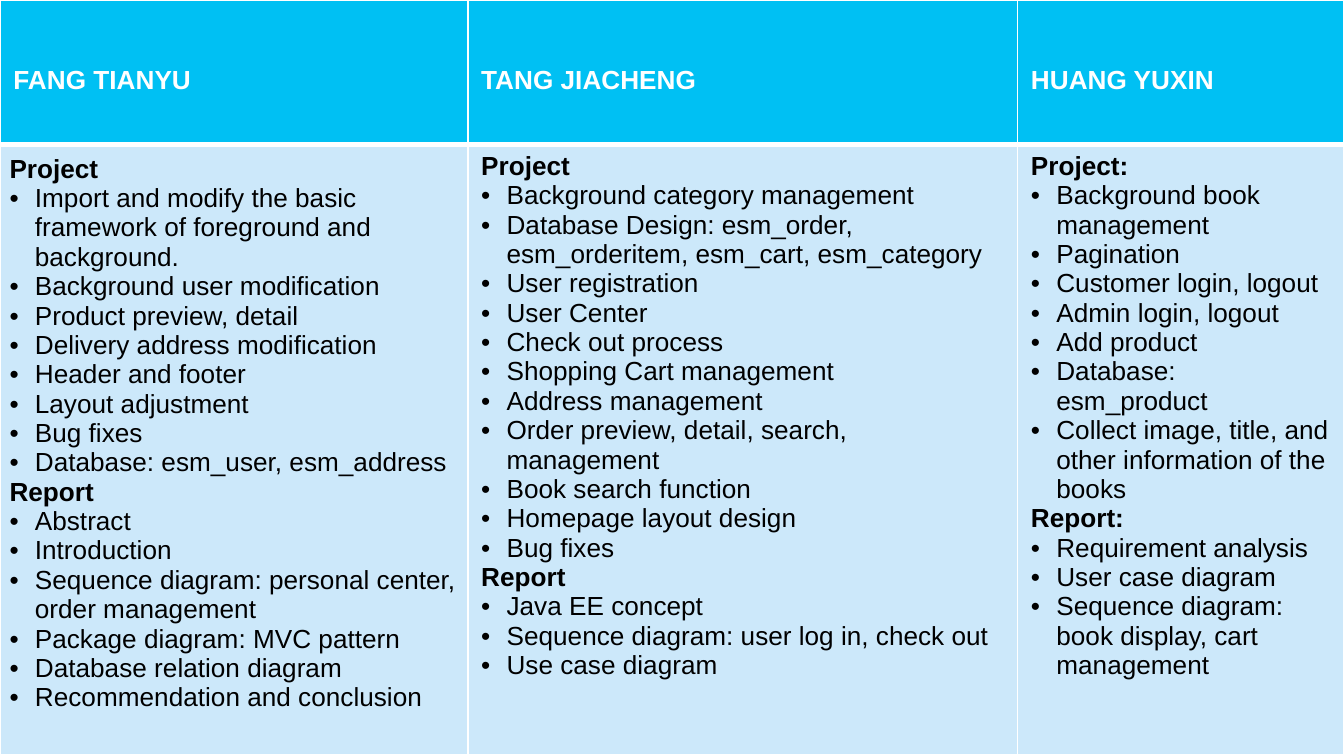
from lxml import etree
from pptx import Presentation
from pptx import util as u
from pptx.dml.color import RGBColor
from pptx.enum import text
from pptx.oxml import ns

WHITE, BLACK, CYAN, PALE = "FFFFFF", "000000", "00C0F3", "CCE8FA"
COLUMN_WIDTHS = [8.84, 10.39, 6.17]
ROW_HEIGHTS = [2.74, 11.53]
INDENT = u.Cm(0.48)
THIN, THICK = u.Pt(1), u.Pt(3)

MEMBERS = [
    ("FANG TIANYU", [
        ("Project", [
            "Import and modify the basic framework of foreground and background.",
            "Background user modification",
            "Product preview, detail",
            "Delivery address modification",
            "Header and footer",
            "Layout adjustment",
            "Bug fixes",
            "Database: esm_user, esm_address",
        ]),
        ("Report", [
            "Abstract",
            "Introduction",
            "Sequence diagram: personal center, order management",
            "Package diagram: MVC pattern",
            "Database relation diagram",
            "Recommendation and conclusion",
        ]),
    ]),
    ("TANG JIACHENG", [
        ("Project", [
            "Background category management",
            "Database Design: esm_order, esm_orderitem, esm_cart, esm_category",
            "User registration",
            "User Center",
            "Check out process",
            "Shopping Cart management",
            "Address management",
            "Order preview, detail, search, management",
            "Book search function",
            "Homepage layout design",
            "Bug fixes",
        ]),
        ("Report", [
            "Java EE concept",
            "Sequence diagram: user log in, check out",
            "Use case diagram",
        ]),
    ]),
    ("HUANG YUXIN", [
        ("Project:", [
            "Background book management",
            "Pagination",
            "Customer login, logout",
            "Admin login, logout",
            "Add product",
            "Database: esm_product",
            "Collect image, title, and other information of the books",
        ]),
        ("Report:", [
            "Requirement analysis",
            "User case diagram",
            "Sequence diagram: book display, cart management",
        ]),
    ]),
]


def rgb(value):
    return RGBColor.from_string(value)


def set_format(target, values):
    for name, value in values.items():
        setattr(target, name, value)


def add_xml(parent, tag, **attributes):
    return etree.SubElement(parent, ns.qn(tag), attributes)


def add_color(parent, value):
    add_xml(parent, "a:srgbClr", val=value)


def add_borders(cell, top, bottom):
    """Draw white lines on all four sides; must run before the fill is set."""
    properties = cell._tc.get_or_add_tcPr()
    widths = {"a:lnL": THIN, "a:lnR": THIN, "a:lnT": top, "a:lnB": bottom}
    for tag, width in widths.items():
        line = add_xml(properties, tag, w=str(width))
        add_color(add_xml(line, "a:solidFill"), WHITE)


def style_cell(cell, fill, top, bottom):
    add_borders(cell, top, bottom)
    cell.fill.solid()
    cell.fill.fore_color.rgb = rgb(fill)
    cell.vertical_anchor = text.MSO_ANCHOR.TOP


def add_bullet(para):
    properties = para._p.get_or_add_pPr()
    properties.set("marL", str(INDENT))
    properties.set("indent", str(-INDENT))
    add_color(add_xml(properties, "a:buClr"), BLACK)
    add_xml(properties, "a:buFont", typeface="Arial")
    add_xml(properties, "a:buChar", char="•")


def write_line(para, words, color, bold):
    span = para.add_run()
    span.text = words
    set_format(span.font, {"name": "Arial", "size": u.Pt(14), "bold": bold})
    span.font.color.rgb = rgb(color)


def fill_header(cell, name):
    style_cell(cell, CYAN, THIN, THICK)
    para = cell.text_frame.paragraphs[0]
    para.line_spacing = 3.0
    write_line(para, name, WHITE, True)


def fill_duties(cell, sections):
    style_cell(cell, PALE, THICK, THIN)
    lines = []
    for heading, duties in sections:
        lines.append((heading, True))
        lines += [(duty, False) for duty in duties]
    frame = cell.text_frame
    for index, (words, is_heading) in enumerate(lines):
        para = frame.add_paragraph() if index else frame.paragraphs[0]
        if not is_heading:
            add_bullet(para)
        write_line(para, words, BLACK, is_heading)


def add_duty_table(page):
    frame = page.shapes.add_table(
        len(ROW_HEIGHTS), len(MEMBERS), u.Cm(0), u.Cm(0),
        u.Cm(sum(COLUMN_WIDTHS)), u.Cm(sum(ROW_HEIGHTS)))
    table = frame.table
    table.horz_banding = False
    for column, width in zip(table.columns, COLUMN_WIDTHS):
        column.width = u.Cm(width)
    for row, height in zip(table.rows, ROW_HEIGHTS):
        row.height = u.Cm(height)
    for index, (name, sections) in enumerate(MEMBERS):
        fill_header(table.cell(0, index), name)
        fill_duties(table.cell(1, index), sections)
    sides = ("left", "top", "right", "bottom")
    set_format(table.cell(1, 0), {f"margin_{side}": u.Cm(0.18) for side in sides})


def main():
    deck = Presentation()
    set_format(deck, {"slide_width": u.Cm(25.4), "slide_height": u.Cm(14.29)})
    page = deck.slides.add_slide(deck.slide_layouts[6])
    add_duty_table(page)
    deck.save("out.pptx")


if __name__ == "__main__":
    main()
